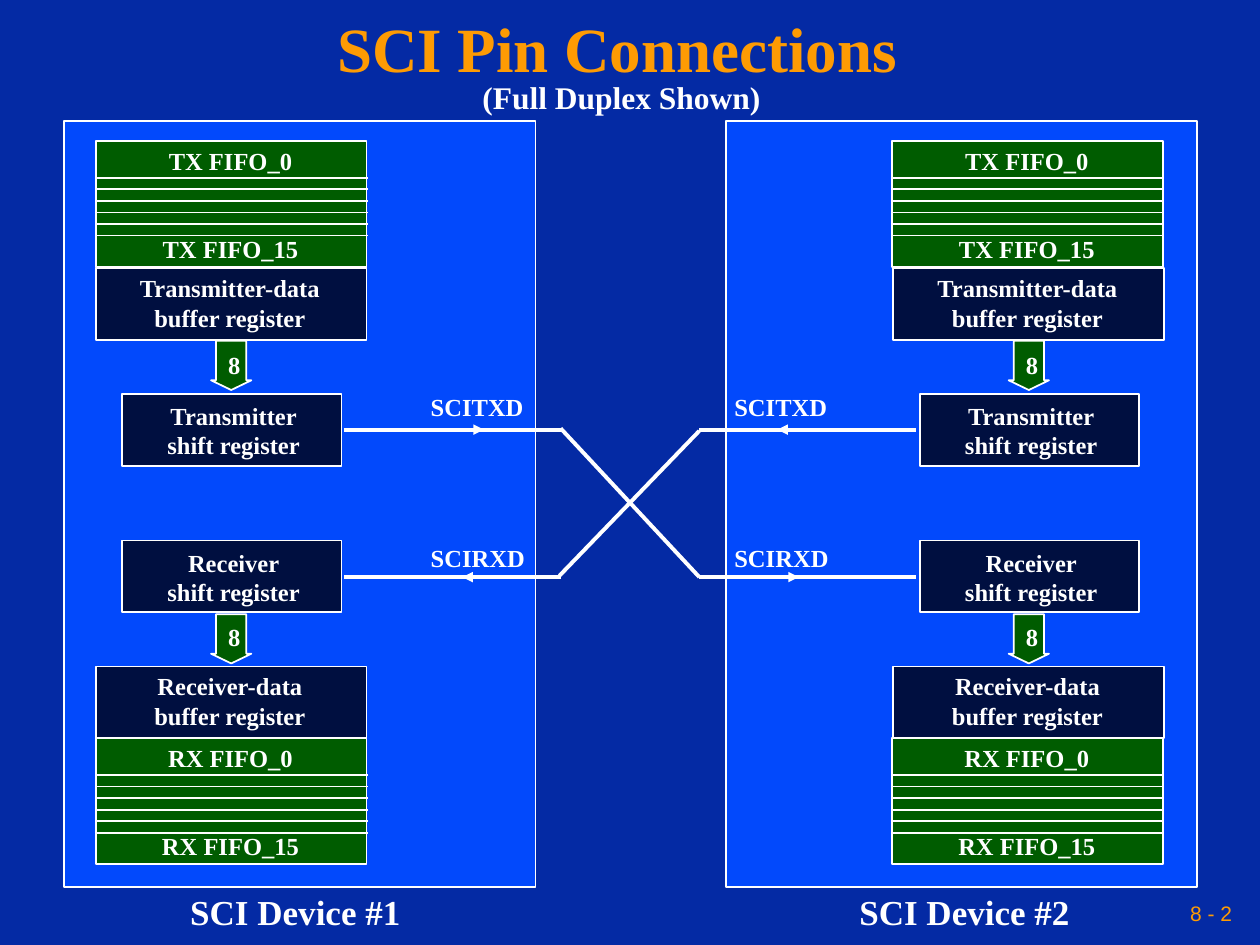
import pptx
import pptx.util
import pptx.dml.color
import pptx.enum.shapes
import pptx.enum.text
import pptx.oxml.ns
from lxml import etree

Inches = pptx.util.Inches
Pt = pptx.util.Pt
RGBColor = pptx.dml.color.RGBColor
SHAPE = pptx.enum.shapes.MSO_SHAPE
ALIGN = pptx.enum.text.PP_ALIGN
ANCHOR = pptx.enum.text.MSO_ANCHOR
AUTO = pptx.enum.text.MSO_AUTO_SIZE
qn = pptx.oxml.ns.qn

NAVY = RGBColor(0x04, 0x2A, 0xA4)
BLUE = RGBColor(0x02, 0x49, 0xFC)
DARK = RGBColor(0x00, 0x0F, 0x40)
GREEN = RGBColor(0x00, 0x5C, 0x00)
ORANGE = RGBColor(0xFE, 0x9B, 0x03)
WHITE = RGBColor(0xFF, 0xFF, 0xFF)
SERIF = "Times New Roman"


def add_block(shapes, x, y, w, h, fill, kind=SHAPE.RECTANGLE):
    s = shapes.add_shape(kind, Inches(x), Inches(y), Inches(w), Inches(h))
    s.shadow.inherit = False
    s.fill.solid()
    s.fill.fore_color.rgb = fill
    s.line.color.rgb = WHITE
    s.line.width = Pt(1)
    return s


def add_text(shapes, x, y, w, h, lines, size=14, color=WHITE, align=ALIGN.CENTER,
             font=SERIF, bold=True, gap=0):
    """Unwrapped text; gap is the space in points between its paragraphs."""
    s = shapes.add_textbox(Inches(x), Inches(y), Inches(w), Inches(h))
    tf = s.text_frame
    tf.word_wrap = False
    tf.auto_size = AUTO.SHAPE_TO_FIT_TEXT
    for i, line in enumerate(lines):
        p = tf.add_paragraph() if i else tf.paragraphs[0]
        p.alignment = align
        if i and gap:
            p.space_before = Pt(gap)
        r = p.add_run()
        r.text = line
        r.font.name = font
        r.font.size = Pt(size)
        r.font.bold = bold
        r.font.color.rgb = color
    return s


def add_line(shapes, x1, y1, x2, y2, width=2.25, arrow=False):
    s = shapes.add_connector(pptx.enum.shapes.MSO_CONNECTOR.STRAIGHT,
                             Inches(x1), Inches(y1), Inches(x2), Inches(y2))
    s.line.color.rgb = WHITE
    s.line.width = Pt(width)
    sp = s._element.spPr
    if arrow:
        etree.SubElement(sp.find(qn("a:ln")), qn("a:headEnd"), type="triangle")
    etree.SubElement(sp, qn("a:effectLst"))


def add_fifo(slide, x, y, name):
    g = slide.shapes.add_group_shape().shapes
    add_block(g, x, y, 2.15, 1, GREEN)
    add_text(g, x + 0.4, y - 0.01, 1.34, 1.03,
             [f"{name} FIFO_0", f"{name} FIFO_15"], gap=33.5)
    for i in range(6):
        row = y + 0.29 + i * 0.092
        add_line(g, x + 0.01, row, x + 2.16, row, width=1)


def add_register(shapes, x, y, w, text_x, text_y, text_w, lines):
    add_block(shapes, x, y, w, 0.57, DARK)
    add_text(shapes, text_x, text_y, text_w, 0.56, lines)


def add_bus(shapes, x, y, text_y):
    s = add_block(shapes, x, y, 0.39, 0.32, GREEN, SHAPE.RIGHT_ARROW)
    s.rotation = 90
    s.adjustments[0] = 0.75
    s.adjustments[1] = 0.24
    add_text(shapes, x + 0.07, text_y, 0.3, 0.33, ["8"])


def add_device(slide, number, panel_x, dx, fifo_x, label_x):
    shapes = slide.shapes
    add_block(shapes, panel_x, 0.96, 3.74, 6.08, BLUE)
    # Transmit path
    add_fifo(slide, fifo_x, 1.12, "TX")
    add_register(shapes, 0.76 + dx, 2.13, 2.15, 1 + dx, 2.12, 1.65,
                 ["Transmitter-data", "buffer register"])
    add_bus(shapes, 1.64 + dx, 2.74, 2.73)
    add_register(shapes, 0.97 + dx, 3.13, 1.74, 1.23 + dx, 3.13, 1.25,
                 ["Transmitter", "shift register"])
    # Receive path
    add_register(shapes, 0.97 + dx, 4.29, 1.74, 1.23 + dx, 4.3, 1.25,
                 ["Receiver", "shift register"])
    add_bus(shapes, 1.64 + dx, 4.91, 4.89)
    add_register(shapes, 0.76 + dx, 5.29, 2.15, 1.12 + dx, 5.28, 1.41,
                 ["Receiver-data", "buffer register"])
    add_fifo(slide, fifo_x, 5.86, "RX")
    # Name below the panel
    add_text(shapes, label_x, 7.02, 1.87, 0.43, [f"SCI Device #{number}"], size=20)


def add_wiring(shapes):
    # Pin leads and the crossover between the devices
    for y in (3.41, 4.58):
        for x in (2.73, 5.55):
            add_line(shapes, x, y, x + 1.72, y)
    add_line(shapes, 5.55, 4.58, 4.45, 3.4)
    add_line(shapes, 5.55, 3.42, 4.44, 4.57)
    # Direction marks, with the arrowhead at the first point
    for tip, end, y in ((3.84, 3.66, 3.41), (3.67, 3.83, 4.58),
                        (6.17, 6.33, 3.41), (6.34, 6.16, 4.58)):
        add_line(shapes, tip, y, end, y, width=1, arrow=True)
    # Pin names
    for x in (3.32, 5.73):
        for y, pin in ((3.06, "SCITXD"), (4.26, "SCIRXD")):
            add_text(shapes, x, y, 0.98, 0.33, [pin], align=ALIGN.LEFT)


def add_headings(shapes):
    s = add_text(shapes, 0, 0, 9.92, 0.83, ["SCI Pin Connections "], size=36, color=ORANGE)
    tf = s.text_frame
    tf.auto_size = AUTO.NONE
    tf.word_wrap = True
    tf.vertical_anchor = ANCHOR.MIDDLE
    tf.paragraphs[0].line_spacing = 0.9
    add_text(shapes, 3.73, 0.57, 2.41, 0.4, ["(Full Duplex Shown)"], size=18, align=ALIGN.LEFT)


def add_page_number(shapes):
    s = add_text(shapes, 6.83, 7.08, 3, 0.33, ["8 - 2"], size=12, color=ORANGE,
                 align=ALIGN.RIGHT, font="Arial", bold=False)
    tf = s.text_frame
    tf.auto_size = AUTO.NONE
    tf.vertical_anchor = ANCHOR.MIDDLE
    tf.margin_left = tf.margin_right = Inches(0.05)


def main():
    prs = pptx.Presentation()
    prs.slide_width = Inches(10)
    prs.slide_height = Inches(7.5)
    slide = prs.slides.add_slide(prs.slide_layouts[6])
    slide.background.fill.solid()
    slide.background.fill.fore_color.rgb = NAVY

    add_page_number(slide.shapes)
    add_headings(slide.shapes)
    add_device(slide, 1, panel_x=0.51, dx=0, fifo_x=0.76, label_x=1.41)
    add_device(slide, 2, panel_x=5.76, dx=6.33, fifo_x=7.08, label_x=6.72)
    add_wiring(slide.shapes)
    prs.save("out.pptx")


if __name__ == "__main__":
    main()
